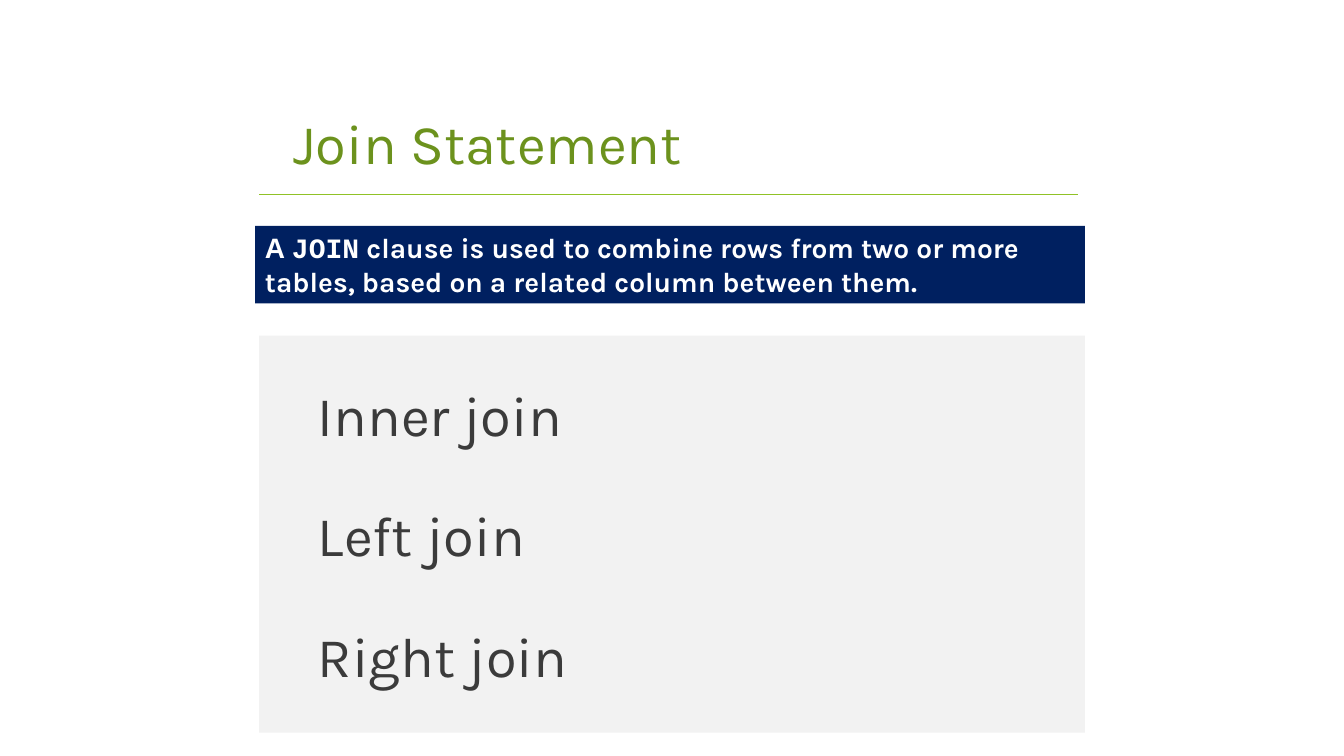
import pptx
import pptx.util
import pptx.dml.color
import pptx.enum.text
import pptx.enum.shapes
import lxml.etree

Inches = pptx.util.Inches
Pt = pptx.util.Pt
SHAPE = pptx.enum.shapes.MSO_SHAPE

COLORS = {
    "title": "6C921D",
    "rule": "90C226",
    "banner": "002060",
    "panel": "F2F2F2",
    "text": "3B3B3B",
    "white": "FFFFFF",
}
JOINS = [("Inner join", 7.98), ("Left join", 7.71), ("Right join", 8.47)]
CLAUSE = [
    ("A ", "Arial"),
    ("JOIN", "Courier New"),
    (" clause is used to combine rows from two or more tables, "
     "based on a related column between them.", "Karla"),
]


def color(name):
    return pptx.dml.color.RGBColor.from_string(COLORS[name])


def add_form(slide, kind, box, fill=None):
    """Add a shape without line or shadow, filled only if a colour is named."""
    form = slide.shapes.add_shape(kind, *map(Inches, box))
    form.shadow.inherit = False
    form.line.fill.background()
    if fill:
        form.fill.solid()
        form.fill.fore_color.rgb = color(fill)
    else:
        form.fill.background()
    return form


def write(shape, parts, size, name, bold=False, inset=0.1):
    """Fill the shape with one left-aligned paragraph of (words, font) parts."""
    text = shape.text_frame
    text.word_wrap = True
    text.auto_size = pptx.enum.text.MSO_AUTO_SIZE.NONE
    text.vertical_anchor = pptx.enum.text.MSO_ANCHOR.MIDDLE
    text.margin_left = Inches(inset)
    line = text.paragraphs[0]
    line.alignment = pptx.enum.text.PP_ALIGN.LEFT
    for words, font in parts:
        run = line.add_run()
        run.text = words
        run.font.name = font
        run.font.size = Pt(size)
        run.font.bold = bold
        run.font.color.rgb = color(name)


def add_title(slide, box):
    left, top, width, height = box
    title = slide.shapes.title
    title.left, title.top, title.width, title.height = map(Inches, box)
    write(title, [("Join Statement", "Karla")], 40, "title", inset=0.38)

    level = Inches(top + height + 0.24)
    rule = slide.shapes.add_connector(
        pptx.enum.shapes.MSO_CONNECTOR.STRAIGHT,
        Inches(left + 0.04), level, Inches(left + width - 0.07), level)
    rule.line.color.rgb = color("rule")
    rule.line.width = Pt(1)
    lxml.etree.SubElement(rule._element.spPr, pptx.oxml.ns.qn("a:effectLst"))


def add_banner(slide, box):
    banner = add_form(slide, SHAPE.RECTANGLE, box, "banner")
    write(banner, CLAUSE, 20, "white", bold=True)


def add_list(slide, box):
    left, top, width, height = box
    add_form(slide, SHAPE.RECTANGLE, box, "panel")
    for index, (words, span) in enumerate(JOINS):
        spot = (left + 0.2, top + 0.49 + 1.195 * index, span, 0.57)
        item = add_form(slide, SHAPE.CHEVRON, spot)
        write(item, [(words, "Karla")], 40, "text")


def main():
    deck = pptx.Presentation()
    deck.slide_width = Inches(13.33)
    deck.slide_height = Inches(7.5)
    slide = deck.slides.add_slide(deck.slide_layouts[5])
    add_list(slide, (2.57, 3.33, 8.19, 3.94))
    add_title(slide, (2.53, 1.12, 8.23, 0.57))
    add_banner(slide, (2.53, 2.24, 8.23, 0.77))
    deck.save("out.pptx")


if __name__ == "__main__":
    main()
